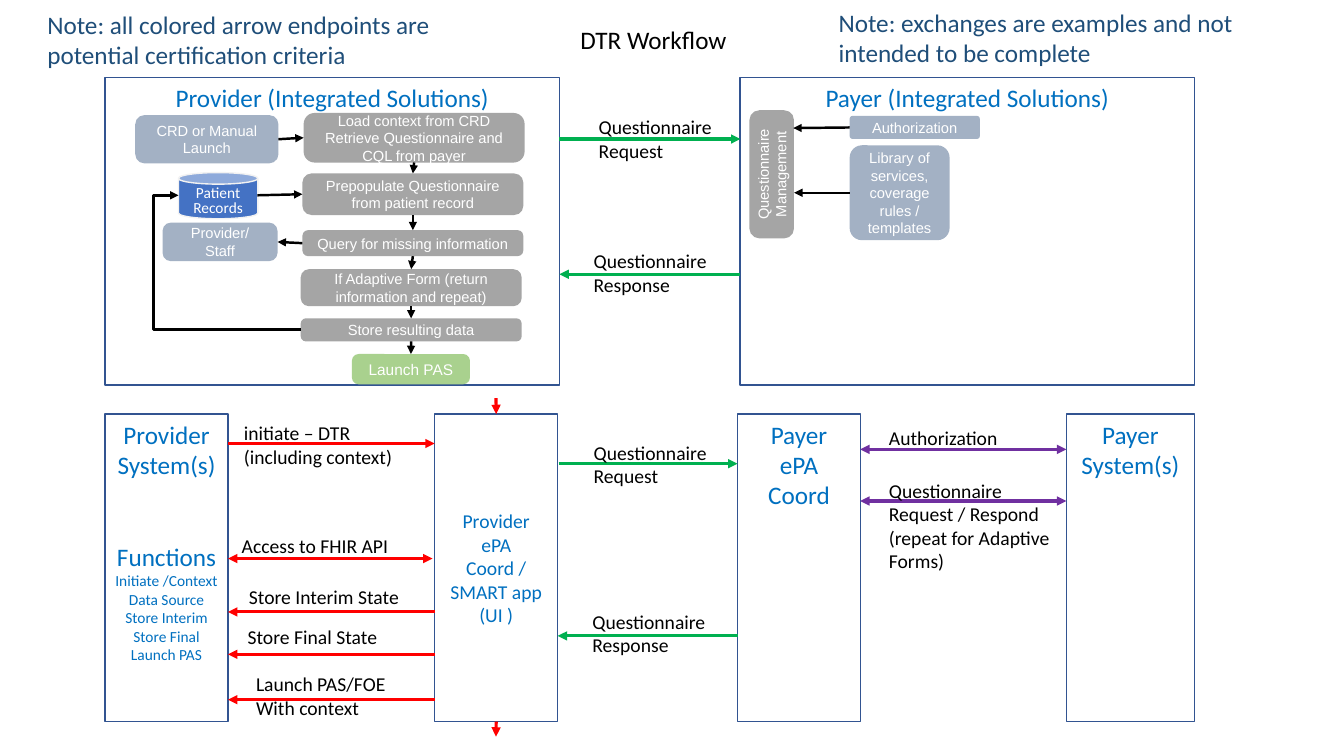
from lxml import etree
from pptx import Presentation
from pptx.dml.color import RGBColor
from pptx.enum.shapes import MSO_CONNECTOR, MSO_SHAPE
from pptx.enum.text import MSO_ANCHOR, MSO_AUTO_SIZE, PP_ALIGN
from pptx.oxml.ns import qn
from pptx.util import Inches, Pt

RECT, ROUND, CAN = MSO_SHAPE.RECTANGLE, MSO_SHAPE.ROUNDED_RECTANGLE, MSO_SHAPE.CAN
LINE, ELBOW = MSO_CONNECTOR.STRAIGHT, MSO_CONNECTOR.ELBOW
TOP, MID = MSO_ANCHOR.TOP, MSO_ANCHOR.MIDDLE
LEFT, MIDDLE = PP_ALIGN.LEFT, PP_ALIGN.CENTER
GROW = MSO_AUTO_SIZE.SHAPE_TO_FIT_TEXT
N, W, S, E = range(4)  # sides of a rectangle

# Grid: 160 columns by 90 rows, twelve to the inch
COLS, ROWS, CELL = 160, 90, Inches(1) / 12

THEME = {
    "edge": "325491", "head": "0070C0", "note": "1F4E79", "ink": "000000",
    "white": "FFFFFF", "step": "A5A5A5", "side": "A3B1C4", "done": "A9D18E",
    "store": "4472C4", "rim": "F2F2F2",
    "red": "FF0000", "green": "00B050", "purple": "7030A0",
    "big": 18, "label": 14, "small": 11, "box": 10.5,
    "thick": 2.25, "thin": 1.75, "body": "Calibri", "flow": "Arial",
}

# Flow boxes: name, left, top, width, height, fill, corner, text
BOXES = [
    ("load", 36.15, 13.45, 26.3, 5.9, "step", 0.22,
     "Load context from CRD\nRetrieve Questionnaire and CQL from payer"),
    ("fill", 36, 20.65, 26.3, 4.95, "step", 0.22,
     "Prepopulate Questionnaire from patient record"),
    ("query", 36, 27.4, 26.3, 3.1, "step", 0.22, "Query for missing information"),
    ("adapt", 35.8, 32.05, 26.3, 4.4, "step", 0.22,
     "If Adaptive Form (return information and repeat)"),
    ("save", 35.8, 37.9, 26.3, 2.75, "step", 0.22, "Store resulting data"),
    ("launch", 41.9, 42.15, 14.05, 3.6, "done", 0.22, "Launch PAS"),
    ("crd", 16.1, 13.7, 17.05, 5.75, "side", 0.19, "CRD or Manual Launch"),
    ("staff", 19.35, 26.5, 13.7, 4.6, "side", 0.22, "Provider/ Staff"),
    ("lib", 101.15, 17.3, 11.9, 11.3, "side", 0.13,
     "Library of services, coverage rules / templates"),
    ("auth", 101.15, 13.8, 15.5, 2.75, "side", 0.13, "Authorization"),
    ("manage", 84.25, 18.1, 15.25, 5.3, "step", 0.22, "Questionnaire Management"),
]

# Flow arrows: an end is a (box, side) pair or a grid point
CHAIN = ["load", "fill", "query", "adapt", "save", "launch"]
FLOW = [((a, S), (b, N)) for a, b in zip(CHAIN, CHAIN[1:])] + [
    (("crd", E), ("load", W)),
    ((30.65, 23.25), ("fill", W)),
    (("query", W), ("staff", E)),
    (("lib", W), (94.55, 22.95)),
    (("auth", W), (94.45, 15.25)),
]

# Exchange arrows: from column, to column, row, colour, both ways
SWAPS = [
    (27.15, 51.75, 52.8, "red", False),
    (27.15, 51.5, 66.5, "red", True),
    (51.8, 27.15, 72.85, "red", False),
    (51.8, 27.15, 77.9, "red", False),
    (51.8, 27.15, 83.3, "red", False),
    (102.4, 126.95, 53.5, "purple", True),
    (102.4, 126.95, 59.65, "purple", True),
    (66.6, 88.15, 16.55, "green", False),
    (88.15, 66.6, 32.65, "green", False),
    (66.5, 87.8, 55.2, "green", False),
    (87.8, 66.4, 75.7, "green", False),
]

# Exchange labels: left, top, text
ASK, REPLY = "Questionnaire\nRequest", "Questionnaire\nResponse"
TAGS = [
    (27.85, 49.55, "initiate – DTR\n(including context)"),
    (27.6, 63, "Access to FHIR API"),
    (28.45, 69.1, "Store Interim State"),
    (28.3, 73.8, "Store Final State"),
    (29.3, 79.45, "Launch PAS/FOE\nWith context"),
    (104.65, 50.15, "Authorization"),
    (104.65, 56.4, "Questionnaire\nRequest / Respond\n(repeat for Adaptive Forms)"),
]
CALLS = [(70.1, 13.1, ASK), (69.5, 29.05, REPLY),
         (69.5, 51.85, ASK), (69.35, 72, REPLY)]


def grid(*vals):
    return [round(v * CELL) for v in vals]


def tint(name):
    return RGBColor.from_string(THEME[name])


def apply(item, form):
    for key, val in form.items():
        setattr(item, key, val)


def write(frame, text, size, ink, face="body", align=LEFT, **form):
    apply(frame, {"word_wrap": True, **form})
    frame.text = text
    for para in frame.paragraphs:
        para.alignment = align
        apply(para.font, {"size": Pt(THEME[size]), "name": THEME[face]})
        para.font.color.rgb = tint(ink)


def shape(slide, kind, area, fill=None, edge=None):
    item = slide.shapes.add_shape(kind, *grid(*area))
    item.shadow.inherit = False
    if fill:
        item.fill.solid()
        item.fill.fore_color.rgb = tint(fill)
    else:
        item.fill.background()
    if edge:
        item.line.color.rgb = tint(edge)
        item.line.width = Pt(1)
    else:
        item.line.fill.background()
    return item


def panel(slide, area, text, size="big", anchor=TOP):
    item = shape(slide, RECT, area, edge="edge")
    write(item.text_frame, text, size, "head", align=MIDDLE, vertical_anchor=anchor)
    return item


def box(slide, area, fill, curve, text, size):
    item = shape(slide, ROUND, area, fill)
    item.adjustments[0] = curve
    write(item.text_frame, text, size, "white", "flow", MIDDLE, vertical_anchor=MID)
    return item


def label(slide, area, text, size="label", ink="ink", wrap=True):
    item = slide.shapes.add_textbox(*grid(*area))
    write(item.text_frame, text, size, ink, word_wrap=wrap, auto_size=GROW)


def link(slide, parts, start, end, ink="ink", width="thin", heads=("tailEnd",), kind=LINE):
    spots = [(0, 0) if isinstance(p[0], str) else p for p in (start, end)]
    wire = slide.shapes.add_connector(kind, *grid(*spots[0], *spots[1]))
    for spot, join in ((start, wire.begin_connect), (end, wire.end_connect)):
        if isinstance(spot[0], str):
            join(parts[spot[0]], spot[1])
    wire.line.color.rgb = tint(ink)
    wire.line.width = Pt(THEME[width])
    for head in heads:
        etree.SubElement(wire.line._get_or_add_ln(), qn("a:" + head), type="triangle")
    etree.SubElement(wire._element.spPr, qn("a:effectLst"))
    return wire


def main():
    deck = Presentation()
    deck.slide_width, deck.slide_height = grid(COLS, ROWS)
    slide = deck.slides.add_slide(deck.slide_layouts[6])
    parts = {}

    # Panels
    upper, lower, tall = 9.25, 49.3, 36.6
    panel(slide, (12.5, upper, 54.1, tall), "Provider (Integrated Solutions)")
    panel(slide, (88.1, upper, 54.1, tall), "Payer (Integrated Solutions)")
    system = panel(slide, (12.5, lower, 14.65, tall),
                   "Provider System(s)\nFunctions\nInitiate /Context\n"
                   "Data Source Store Interim\nStore Final\nLaunch PAS")
    lines = system.text_frame.paragraphs
    lines[1].space_before = Pt(44)
    for line in lines[2:]:
        line.font.size = Pt(THEME["small"])
    panel(slide, (126.95, lower, 15.25, tall), "Payer System(s)")
    parts["coord"] = panel(slide, (51.75, lower, 14.65, tall),
                           "Provider\nePA\nCoord /\nSMART app\n(UI )", "label", MID)
    panel(slide, (87.8, lower, 14.65, tall), "Payer\nePA\nCoord")

    # Flow boxes and patient records
    for name, *area, fill, curve, text in BOXES:
        size = "small" if name == "launch" else "box"
        parts[name] = box(slide, area, fill, curve, text, size)
    parts["manage"].rotation = 270
    drum = shape(slide, CAN, (21.25, 20.55, 9.45, 5.5), "store", "rim")
    write(drum.text_frame, "Patient Records", "small", "white", align=MIDDLE,
          vertical_anchor=MID, margin_top=Inches(0.1))
    drum.text_frame.paragraphs[0].line_spacing = Pt(11)

    # Flow arrows and the loop back to the records
    for start, end in FLOW:
        link(slide, parts, start, end)
    loop = link(slide, parts, (21.25, 23.25), (35.8, 39.25), heads=("headEnd",), kind=ELBOW)
    bend = loop._element.spPr.find(qn("a:prstGeom")).get_or_add_avLst()
    etree.SubElement(bend, qn("a:gd"), name="adj1", fmla="val -20600")

    # Exchange arrows
    for left, right, row, ink, both in SWAPS:
        heads = ("headEnd", "tailEnd") if both else ("tailEnd",)
        link(slide, parts, (left, row), (right, row), ink, "thick", heads)
    link(slide, parts, (59.05, 47.4), ("coord", N), "red", "thick")
    link(slide, parts, ("coord", S), (59.05, 87.7), "red", "thick")

    # Labels, title and notes
    for tags, wide, wrap in ((TAGS, 24, True), (CALLS, 16.1, False)):
        for left, top, text in tags:
            high = 1.3 + 2.8 * (text.count("\n") + 1)
            label(slide, (left, top, wide, high), text, wrap=wrap)
    label(slide, (67.9, 2.3, 20, 4.85), "DTR Workflow", "big", wrap=False)
    label(slide, (4.45, 0.5, 54.1, 8.5),
          "Note: all colored arrow endpoints are potential certification criteria", "big", "note")
    label(slide, (98.65, 0.25, 54.1, 8.5),
          "Note: exchanges are examples and not intended to be complete", "big", "note")
    deck.save("out.pptx")


if __name__ == "__main__":
    main()
